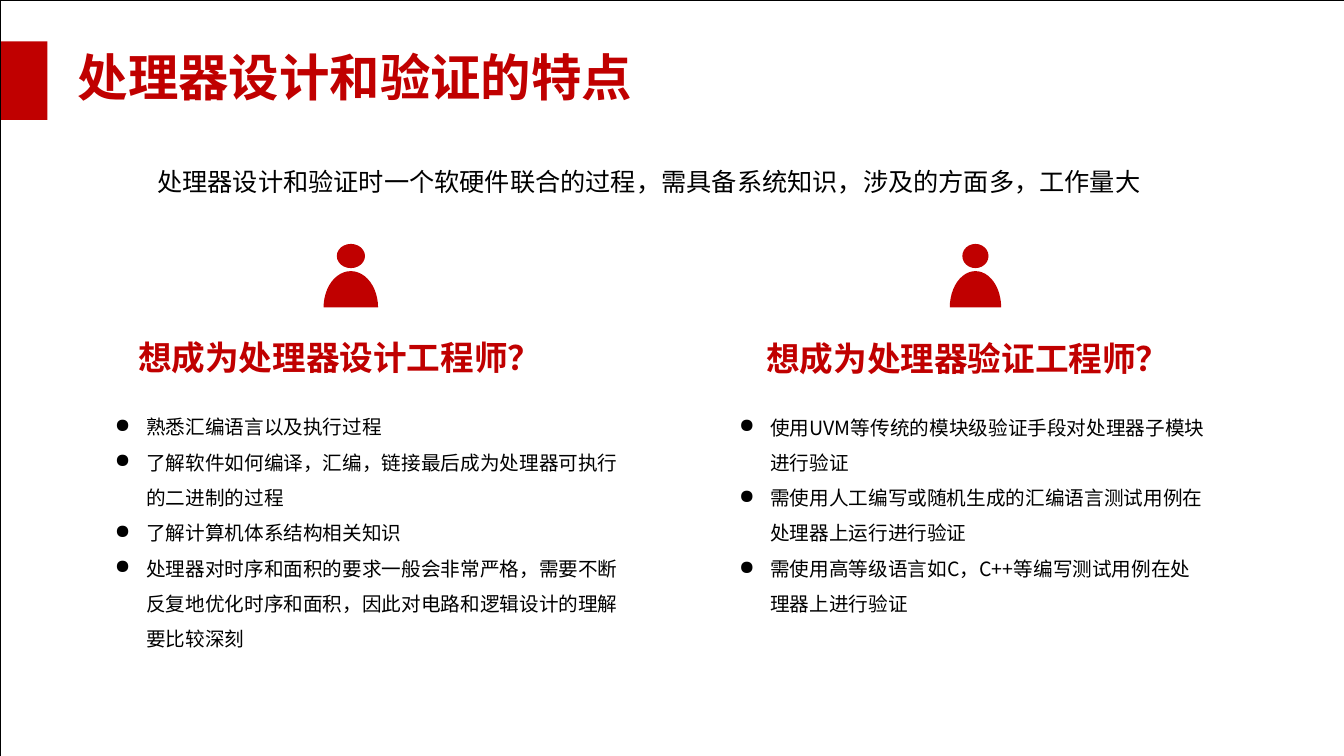
from math import cos, pi, sin

from lxml import etree
from pptx import Presentation
from pptx.dml.color import RGBColor
from pptx.enum.shapes import MSO_SHAPE as Shape
from pptx.enum.text import MSO_ANCHOR as Anchor, PP_ALIGN as Align
from pptx.oxml.ns import qn
from pptx.util import Inches, Pt

FONT = "Noto Sans CJK SC"
RED = RGBColor(0xC0, 0x00, 0x00)
BLACK = RGBColor(0x00, 0x00, 0x00)

# style: size, colour, bold, left margin, first-line indent, bullet
STYLES = {
    "title": (36, RED, True, 0.01, 0, None),
    "lead": (18, BLACK, False, 0.01, 0, None),
    "heading": (24, RED, True, 0.01, 0, None),
    "inset heading": (24, RED, True, 0.29, 0, None),
    "point": (14, BLACK, False, 0.33, -0.31, "●"),
    "justified point": (14, BLACK, False, 0.33, -0.31, "●"),
}
POINT_LINE_SPACING = 1.5
HEADING_GAP = 18.4

TITLE_AT = (0.76, 0.45, 6.33, 0.62)
TITLE = [("title", "处理器设计和验证的特点")]

# place, top inset, paragraphs
BOXES = [
    ((1.55, 1.64, 9.78, 0.33), 0.01, [
        ("lead", "处理器设计和验证时一个软硬件联合的过程，需具备系统知识，涉及的方面多，工作量大"),
    ]),
    ((1.36, 3.33, 4.03, 0.43), 0.01, [
        ("heading", "想成为处理器设计工程师？"),
    ]),
    ((1.12, 3.99, 5.01, 2.48), 0.13, [
        ("point", "熟悉汇编语言以及执行过程"),
        ("point", "了解软件如何编译，汇编，链接最后成为处理器可执行 的二进制的过程"),
        ("point", "了解计算机体系结构相关知识"),
        ("justified point", "处理器对时序和面积的要求一般会非常严格，需要不断 "
                            "反复地优化时序和面积，因此对电路和逻辑设计的理解 要比较深刻"),
    ]),
    ((7.31, 3.34, 4.7, 2.78), 0.01, [
        ("inset heading", "想成为处理器验证工程师？"),
        ("point", "使用UVM等传统的模块级验证手段对处理器子模块 进行验证"),
        ("point", "需使用人工编写或随机生成的汇编语言测试用例在 处理器上运行进行验证"),
        ("point", "需使用高等级语言如C，C++等编写测试用例在处 理器上进行验证"),
    ]),
]

# centre x, body width, head width
PEOPLE = [(3.48, 0.54, 0.28), (9.675, 0.51, 0.26)]
HEAD_TOP, HEAD_HEIGHT = 2.42, 0.24
BODY_TOP, BODY_BASE = 2.69, 3.05
ARC_STEPS = 24


def paint(shape, colour):
    shape.shadow.inherit = False
    shape.fill.solid()
    shape.fill.fore_color.rgb = colour
    shape.line.fill.background()


def add_person(page, centre, body_width, head_width):
    head = page.shapes.add_shape(
        Shape.OVAL, Inches(centre - head_width / 2), Inches(HEAD_TOP),
        Inches(head_width), Inches(HEAD_HEIGHT))
    paint(head, RED)
    angles = [pi * step / ARC_STEPS for step in range(ARC_STEPS + 1)]
    arc = [(Inches(centre + body_width / 2 * cos(angle)),
            Inches(BODY_BASE - (BODY_BASE - BODY_TOP) * sin(angle)))
           for angle in angles]
    builder = page.shapes.build_freeform(*arc[0])
    builder.add_line_segments(arc[1:], close=True)
    paint(builder.convert_to_shape(), RED)


def format_paragraph(para, style, is_first, follows_heading):
    size, colour, bold, margin, indent, bullet = STYLES[style]
    para.alignment = Align.JUSTIFY if style == "justified point" else Align.LEFT
    para.line_spacing = 1.0 if is_first else POINT_LINE_SPACING
    para.space_before = Pt(HEADING_GAP if follows_heading else 0)
    properties = para._p.get_or_add_pPr()
    properties.set("marL", str(Inches(margin)))
    properties.set("indent", str(Inches(indent)))
    if bullet:
        etree.SubElement(properties, qn("a:buChar")).set("char", bullet)
    for span in para.runs:
        span.font.size = Pt(size)
        span.font.bold = bold
        span.font.color.rgb = colour
        span.font.name = FONT
        east_asian = etree.Element(qn("a:ea"))
        east_asian.set("typeface", FONT)
        span._r.rPr.find(qn("a:latin")).addnext(east_asian)


def fill_text(shape, place, top_inset, paragraphs):
    shape.left, shape.top, shape.width, shape.height = map(Inches, place)
    frame = shape.text_frame
    frame.word_wrap = True
    frame.vertical_anchor = Anchor.TOP
    frame.margin_left = frame.margin_right = frame.margin_bottom = 0
    frame.margin_top = Inches(top_inset)
    frame.text = "\n".join(text for _, text in paragraphs)
    previous = ""
    for para, (style, _) in zip(frame.paragraphs, paragraphs):
        format_paragraph(para, style, not previous, "heading" in previous)
        previous = style


def main():
    deck = Presentation()
    deck.slide_width, deck.slide_height = Inches(13.33), Inches(7.5)
    page = deck.slides.add_slide(deck.slide_layouts[5])

    fill_text(page.shapes.title, TITLE_AT, 0.01, TITLE)
    accent = page.shapes.add_shape(
        Shape.RECTANGLE, 0, Inches(0.41), Inches(0.47), Inches(0.78))
    paint(accent, RED)
    for person in PEOPLE:
        add_person(page, *person)
    for place, top_inset, paragraphs in BOXES:
        box = page.shapes.add_textbox(*map(Inches, place))
        fill_text(box, place, top_inset, paragraphs)

    border = page.shapes.add_shape(
        Shape.RECTANGLE, 0, 0, deck.slide_width, deck.slide_height)
    border.shadow.inherit = False
    border.fill.background()
    border.line.color.rgb = BLACK
    border.line.width = Pt(0.25)
    deck.save("out.pptx")


if __name__ == "__main__":
    main()
